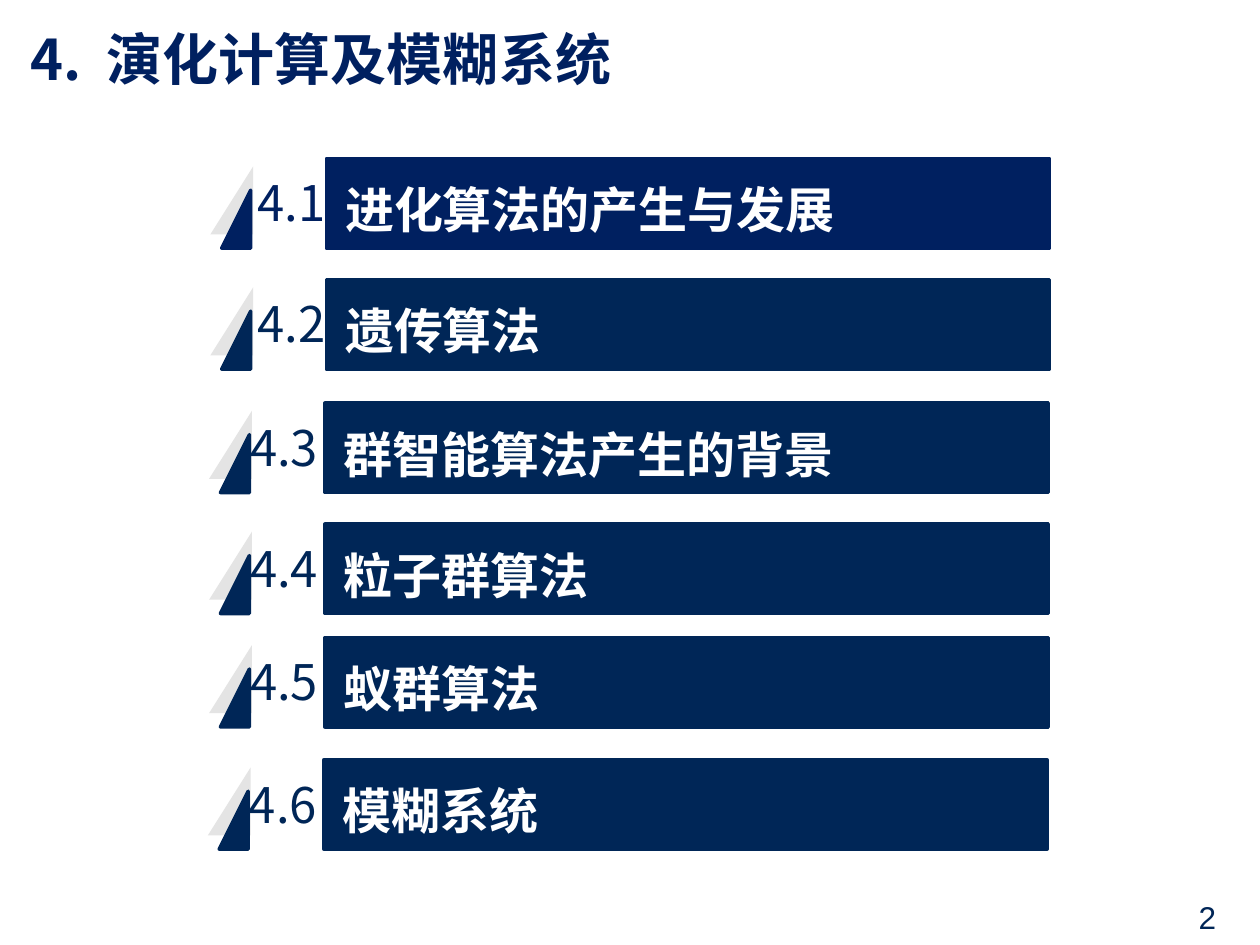
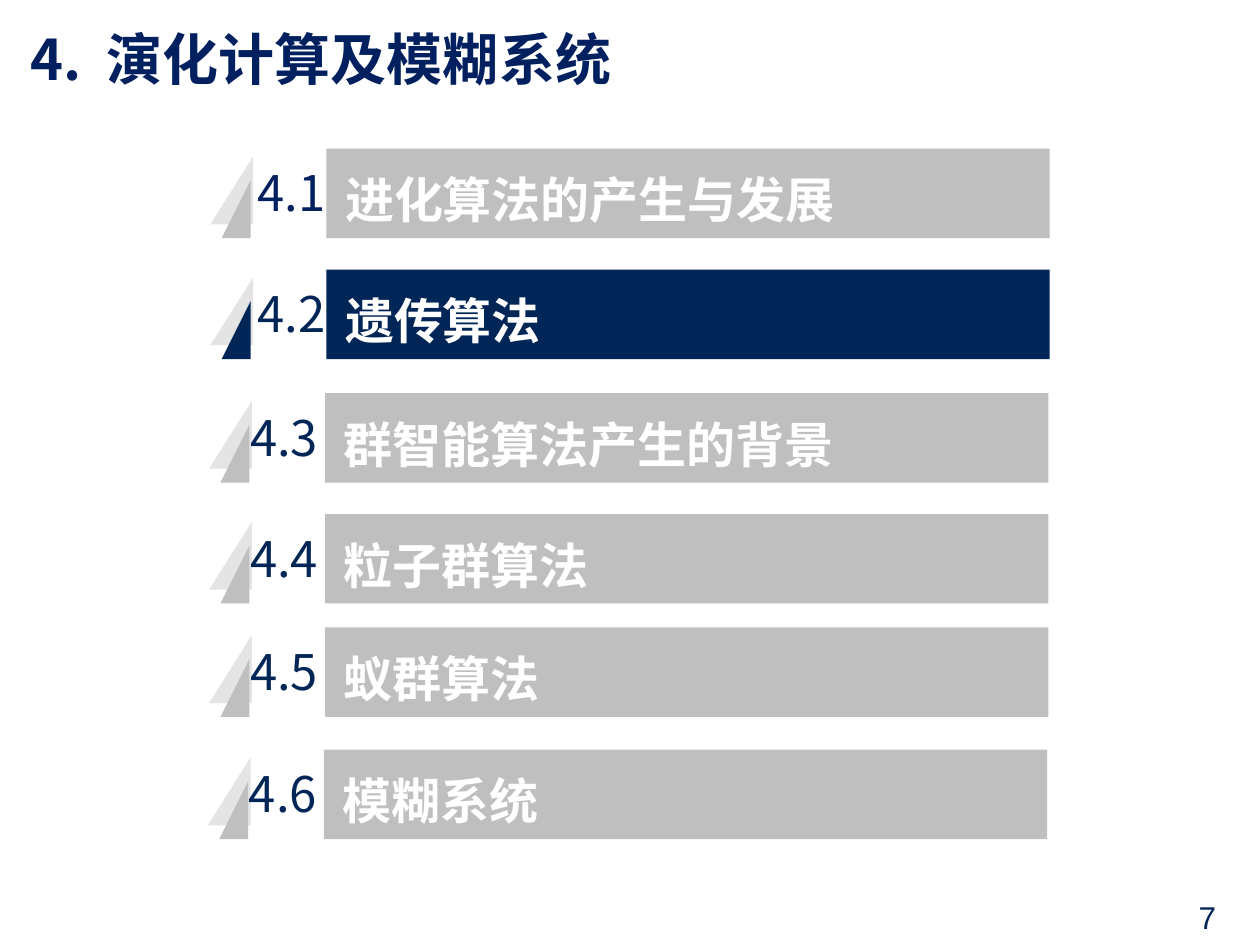
"""Build two agenda slides for a chapter on evolutionary computing."""
import pptx
import pptx.dml.color
import pptx.enum.text
import pptx.oxml
import pptx.oxml.ns
import pptx.util
from pptx.util import Inches

RGBColor = pptx.dml.color.RGBColor
Align = pptx.enum.text.PP_ALIGN
Anchor = pptx.enum.text.MSO_ANCHOR

NAVY = RGBColor(0x00, 0x20, 0x60)
INK = RGBColor(0x00, 0x26, 0x57)
MUTED = RGBColor(0xBF, 0xBF, 0xBF)
PALE = RGBColor(0xE4, 0xE4, 0xE4)
WHITE = RGBColor(0xFF, 0xFF, 0xFF)
SANS = "Noto Sans CJK SC"

ROWS = [
    ("4.1", "进化算法的产生与发展", NAVY, 1.76, 1.99, 1.26),
    ("4.2", "遗传算法", INK, 1.76, 1.99, 2.22),
    ("4.3", "群智能算法产生的背景", INK, 1.75, 1.93, 3.20),
    ("4.4", "粒子群算法", INK, 1.75, 1.93, 4.16),
    ("4.5", "蚁群算法", INK, 1.75, 1.93, 5.06),
    ("4.6", "模糊系统", INK, 1.74, 1.92, 6.03),
]


class Deck:
    def __init__(self):
        self.prs = pptx.Presentation()
        self.prs.slide_width = Inches(10)
        self.prs.slide_height = Inches(7.5)
        self.slide = None

    def start(self, page):
        self.slide = self.prs.slides.add_slide(self.prs.slide_layouts[5])
        self.title("4.", "演化计算及模糊系统")
        self.label(page, (7.58, 7.08, 2.17, 0.39), Align.RIGHT, 18, INK, "Arial", inset=0.1)

    def style(self, para, size, color, face=SANS, bold=False):
        font = para.font
        font.name, font.size, font.bold = face, pptx.util.Pt(size), bold
        font.color.rgb = color
        props = para._p.pPr.find(pptx.oxml.ns.qn("a:defRPr"))
        east = pptx.oxml.parse_xml(
            f'<a:ea {pptx.oxml.ns.nsdecls("a")} typeface="{face}"/>')
        props.find(pptx.oxml.ns.qn("a:latin")).addnext(east)

    def title(self, number, text):
        box = self.slide.shapes.title
        box.left, box.top = Inches(0.14), Inches(0.15)
        box.width, box.height = Inches(9.45), Inches(0.62)
        frame = box.text_frame
        frame.auto_size = pptx.enum.text.MSO_AUTO_SIZE.NONE
        frame.vertical_anchor = Anchor.MIDDLE
        para = frame.paragraphs[0]
        para.alignment = Align.LEFT
        for part in (number, " ", text):
            para.add_run().text = part
        para.runs[1]._r.get_or_add_rPr().set("spc", "720")
        self.style(para, 32, NAVY, bold=True)

    def fill_text(self, shape, text, align, size, color, face=SANS,
                  bold=False, left=0, right=0, lines=None):
        frame = shape.text_frame
        frame.word_wrap = True
        frame.vertical_anchor = Anchor.MIDDLE
        frame.margin_left, frame.margin_right = Inches(left), Inches(right)
        frame.margin_top = frame.margin_bottom = 0
        para = frame.paragraphs[0]
        para.text, para.alignment, para.line_spacing = text, align, lines
        self.style(para, size, color, face, bold)

    def label(self, text, spot, align, size, color, face=SANS, inset=0, lines=None):
        box = self.slide.shapes.add_textbox(*map(Inches, spot))
        self.fill_text(box, text, align, size, color, face,
                       left=inset, right=inset, lines=lines)

    def outline(self, paths, fill, edge=None):
        build = None
        for path in paths:
            first, *rest = [(Inches(x), Inches(y)) for x, y in path]
            if build is None:
                build = self.slide.shapes.build_freeform(*first)
            else:
                build.move_to(*first)
            build.add_line_segments(rest, close=True)
        shape = build.convert_to_shape()
        shape.shadow.inherit = False
        shape.fill.solid()
        shape.fill.fore_color.rgb = fill
        if edge is None:
            shape.line.fill.background()
        else:
            shape.line.color.rgb = edge
            shape.line.width = pptx.util.Pt(2)
        return shape

    def wedge(self, left, top, width, height):
        right, base = left + width, top + height
        return [(right, top), (right, base), (left, base)]

    def row(self, number, text, ink, left, mark, top, fill, edge=None):
        self.outline([self.wedge(left - 0.09, top + 0.06, 0.34, 0.54)], PALE)
        near, far, base = left + 0.83, left + 6.57, top + 0.71
        bar = [(near, top), (far, top), (far, base), (near, base)]
        shape = self.outline([self.wedge(left, top + 0.25, 0.23, 0.46), bar], fill, edge)
        self.fill_text(shape, text, Align.LEFT, 28, WHITE, bold=True, left=0.98, lines=1.2)
        self.label(number, (mark, top, 0.65, 0.6), Align.CENTER, 28, ink, lines=1.2)


def main():
    deck = Deck()
    deck.start("2")
    for number, text, ink, left, mark, top in ROWS:
        deck.row(number, text, ink, left, mark, top, ink, ink)
    deck.start("7")
    for number, text, ink, left, mark, top in ROWS:
        fill = INK if number == "4.2" else MUTED
        deck.row(number, text, ink, left, mark, top - 0.08, fill)
    deck.prs.save("out.pptx")


if __name__ == "__main__":
    main()
